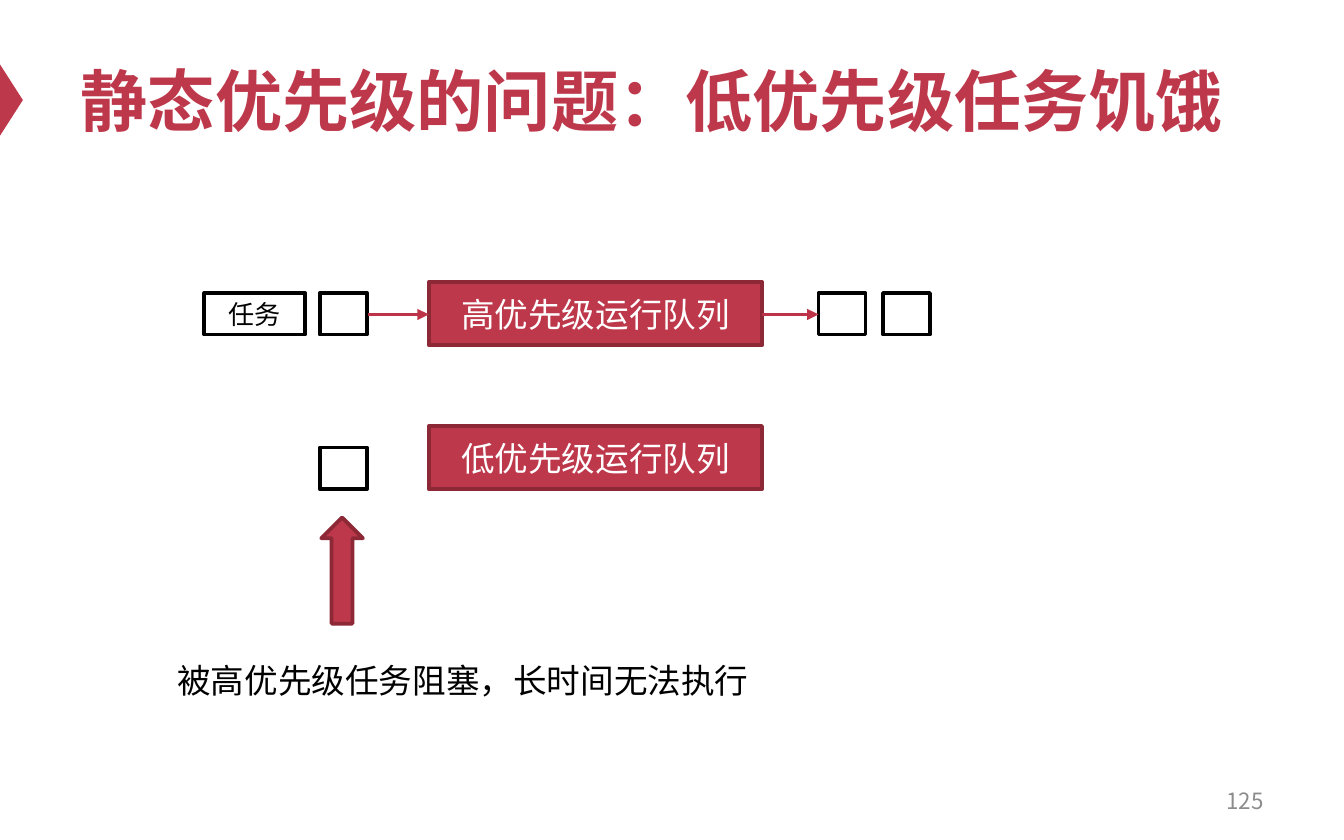
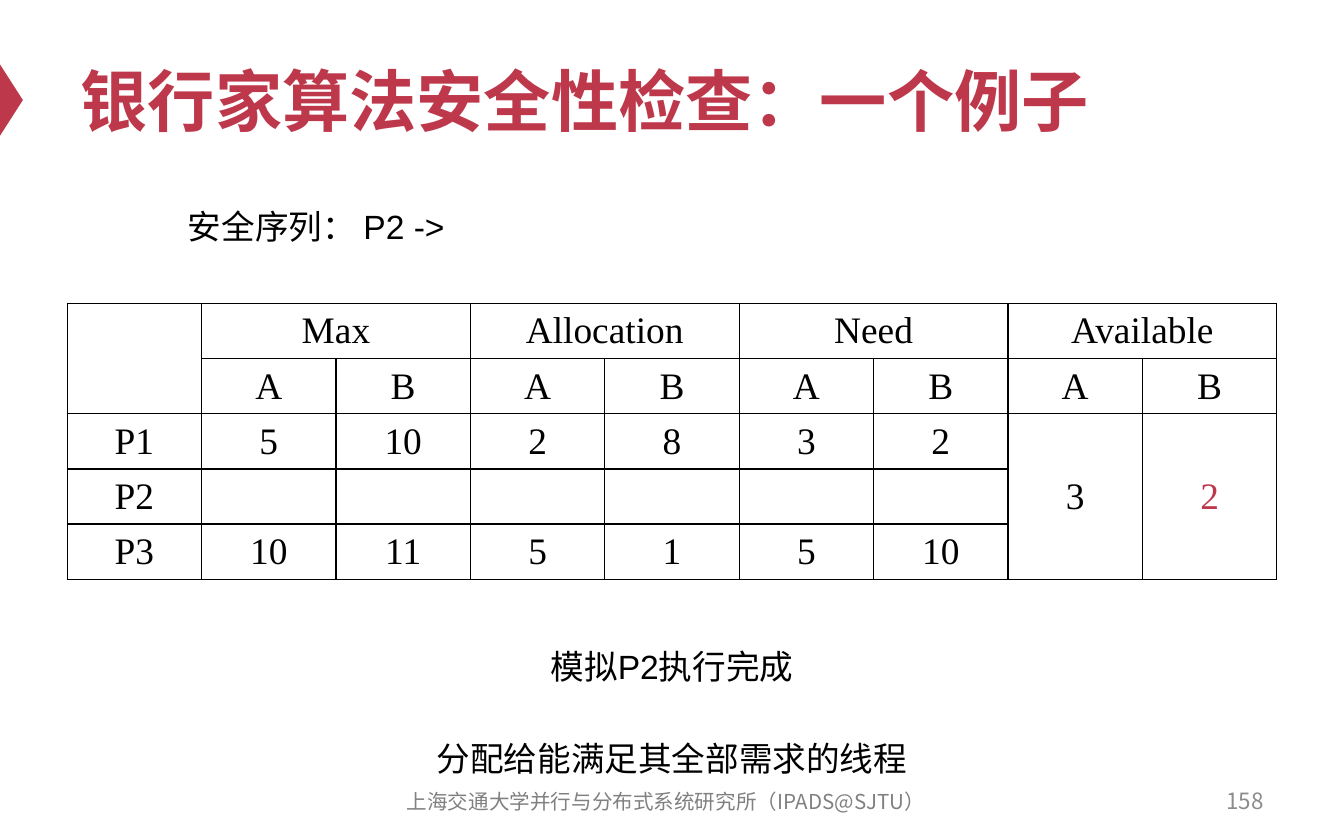
import pptx
import pptx.util
from lxml import etree
from pptx.dml.color import RGBColor
from pptx.enum.shapes import MSO_CONNECTOR, MSO_SHAPE
from pptx.enum.text import MSO_ANCHOR, MSO_AUTO_SIZE, PP_ALIGN
from pptx.oxml.ns import qn

Inches, Pt = pptx.util.Inches, pptx.util.Pt

RED = RGBColor(0xBE, 0x38, 0x4B)
DARK_RED = RGBColor(0x8D, 0x29, 0x37)
ARROW_RED = RGBColor(0xBD, 0x33, 0x47)
BLACK = RGBColor(0, 0, 0)
WHITE = RGBColor(0xFF, 0xFF, 0xFF)
GREY = RGBColor(0x80, 0x80, 0x80)
NUMBER_GREY = RGBColor(0x8C, 0x8C, 0x8C)
CJK = "Noto Sans CJK SC"


def write(tf, text, size, color=BLACK, align=PP_ALIGN.LEFT, font="Arial"):
    """Fill a text frame with one formatted paragraph."""
    tf.text = text
    p = tf.paragraphs[0]
    p.alignment = align
    for r in p.runs:
        r.font.size = Pt(size)
        r.font.name = font
        r.font.color.rgb = color
        etree.SubElement(r.font._element, qn("a:ea"), typeface=CJK)
    return p


def add_box(s, kind, left, top, width, height, fill=None, line=None):
    """Add a preset shape; without a fill or line colour it has none."""
    sp = s.shapes.add_shape(kind, Inches(left), Inches(top), Inches(width), Inches(height))
    sp.shadow.inherit = False
    for part, color in ((sp.fill, fill), (sp.line.fill, line)):
        if color is None:
            part.background()
        else:
            part.solid()
            part.fore_color.rgb = color
    if line is not None:
        sp.line.width = Pt(2)
    sp.text_frame.vertical_anchor = MSO_ANCHOR.MIDDLE
    return sp


prs = pptx.Presentation()
prs.slide_width, prs.slide_height = Inches(10), Inches(6.25)

# Shared parts: title, marker, slide number
slides = []
for title, number in (("静态优先级的问题：低优先级任务饥饿", "125"),
                      ("银行家算法安全性检查：一个例子", "158")):
    s = prs.slides.add_slide(prs.slide_layouts[5])
    slides.append(s)
    marker = add_box(s, MSO_SHAPE.ISOSCELES_TRIANGLE, -0.18, 0.66, 0.53, 0.17, RED)
    marker.rotation = 90

    sp = s.shapes.title
    sp.left, sp.top, sp.width, sp.height = Inches(0.5), Inches(0.25), Inches(9), Inches(0.98)
    sp.text_frame.vertical_anchor = MSO_ANCHOR.MIDDLE
    sp.text_frame.auto_size = MSO_AUTO_SIZE.NONE
    write(sp.text_frame, title, 36, RED).runs[0].font.bold = True

    tf = s.shapes.add_textbox(Inches(7.17), Inches(5.79), Inches(2.33), Inches(0.33)).text_frame
    tf.word_wrap = True
    tf.vertical_anchor = MSO_ANCHOR.MIDDLE
    write(tf, number, 12, NUMBER_GREY, PP_ALIGN.RIGHT, CJK)

# Slide 1: task boxes
s = slides[0]
for left, top in ((2.38, 2.18), (2.38, 3.33), (6.09, 2.18), (6.57, 2.18)):
    add_box(s, MSO_SHAPE.RECTANGLE, left, top, 0.35, 0.31, line=BLACK)
task = add_box(s, MSO_SHAPE.RECTANGLE, 1.52, 2.18, 0.75, 0.31, line=BLACK)
write(task.text_frame, "任务", 14, align=PP_ALIGN.CENTER)

# Run queues
for top, name in ((2.1, "高优先级运行队列"), (3.17, "低优先级运行队列")):
    queue = add_box(s, MSO_SHAPE.RECTANGLE, 3.19, top, 2.48, 0.47, RED, DARK_RED)
    write(queue.text_frame, name, 18, WHITE, PP_ALIGN.CENTER)

# Arrows into and out of the high-priority queue
for start, end in ((2.74, 3.19), (5.67, 6.09)):
    arrow = s.shapes.add_connector(MSO_CONNECTOR.STRAIGHT, Inches(start), Inches(2.34),
                                   Inches(end), Inches(2.34))
    arrow.line.color.rgb = ARROW_RED
    arrow.line.width = Pt(2)
    etree.SubElement(arrow.line._get_or_add_ln(), qn("a:tailEnd"), type="triangle")
    etree.SubElement(arrow._element.spPr, qn("a:effectLst"))

# Blocked task
add_box(s, MSO_SHAPE.UP_ARROW, 2.39, 3.85, 0.31, 0.79, RED, DARK_RED)
tf = s.shapes.add_textbox(Inches(1.22), Inches(4.86), Inches(4.49), Inches(0.4)).text_frame
tf.word_wrap = False
write(tf, "被高优先级任务阻塞，长时间无法执行", 18)

# Slide 2: resource table
s = slides[1]
rows = [
    ["", "Max", "", "Allocation", "", "Need", "", "Available", ""],
    [""] + ["A", "B"] * 4,
    ["P1", "5", "10", "2", "8", "3", "2", "3", "2"],
    ["P2"] + [""] * 8,
    ["P3", "10", "11", "5", "1", "5", "10", "", ""],
]
table = s.shapes.add_table(5, 9, Inches(0.5), Inches(2.26), Inches(9), Inches(2.05)).table
table.first_row = table.horz_banding = False
for row, texts in zip(table.rows, rows):
    row.height = Inches(0.41)
    for cell, text in zip(row.cells, texts):
        cell.vertical_anchor = MSO_ANCHOR.MIDDLE
        cell.margin_top = cell.margin_bottom = Inches(0.03)
        write(cell.text_frame, text, 20, align=PP_ALIGN.CENTER, font="Times New Roman")
        tcPr = cell._tc.get_or_add_tcPr()
        for side in ("a:lnL", "a:lnR", "a:lnT", "a:lnB"):
            ln = etree.SubElement(tcPr, qn(side), w=str(Pt(0.75)))
            etree.SubElement(etree.SubElement(ln, qn("a:solidFill")), qn("a:srgbClr"), val=str(BLACK))
        cell.fill.background()
table.cell(2, 8).text_frame.paragraphs[0].runs[0].font.color.rgb = RED

# Merged cells
table.cell(0, 0).merge(table.cell(1, 0))
for col in range(1, 9, 2):
    table.cell(0, col).merge(table.cell(0, col + 1))
for col in (7, 8):
    table.cell(2, col).merge(table.cell(4, col))

# Safe sequence and explanations
for left, top, text, align in ((1.3, 1.33, "安全序列： P2 ->", PP_ALIGN.LEFT),
                               (1.18, 4.61, "模拟P2执行完成", PP_ALIGN.CENTER),
                               (1.18, 5.29, "分配给能满足其全部需求的线程", PP_ALIGN.CENTER)):
    tf = s.shapes.add_textbox(Inches(left), Inches(top), Inches(7.64), Inches(0.5)).text_frame
    tf.word_wrap = True
    write(tf, text, 18, align=align).line_spacing = 1.5

# Footer
tf = s.shapes.add_textbox(Inches(2.79), Inches(5.8), Inches(4.33), Inches(0.33)).text_frame
tf.word_wrap = True
tf.vertical_anchor = MSO_ANCHOR.MIDDLE
write(tf, "上海交通大学并行与分布式系统研究所（IPADS@SJTU）", 11, GREY, PP_ALIGN.CENTER, CJK)

prs.save("out.pptx")
